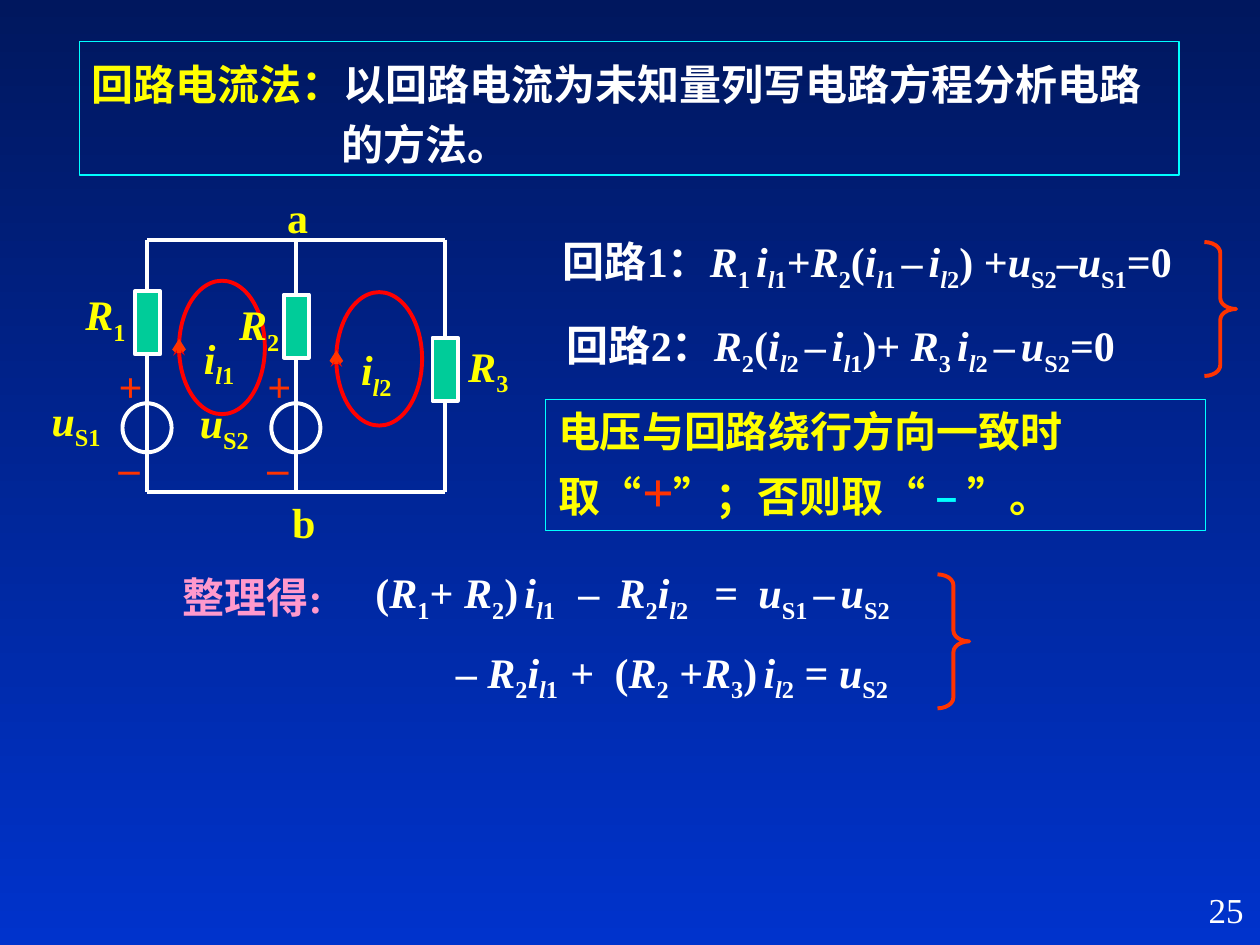
from dataclasses import dataclass
from itertools import groupby

from lxml import etree
from pptx import Presentation
from pptx import util as u
from pptx.dml.color import RGBColor
from pptx.enum import lang, shapes, text
from pptx.oxml import ns


@dataclass(frozen=True)
class Theme:
    font: str = "Times New Roman"
    top: str = "00175E"
    bottom: str = "0033CC"
    white: str = "FFFFFF"
    yellow: str = "FFFF00"
    pink: str = "FF99CC"
    cyan: str = "00FFFF"
    red: str = "FF0000"
    orange: str = "FF3300"
    resistor: str = "00CC99"
    body: int = 24
    sign: int = 32
    page: int = 20
    frame: float = 0.75
    stroke: float = 2.25


THEME = Theme()
SHAPE = shapes.MSO_SHAPE
LINE_HEIGHT, FORMULA_HEIGHT = 1.27, 1.42


def color(value):
    return RGBColor.from_string(value)


def split_markup(markup):
    """Yield (text, subscript, italic); braces hold subscripts, R i u l are italic."""
    marked, subscript = [], False
    for character in markup:
        if character in "{}":
            subscript = character == "{"
        else:
            marked.append((character, subscript, character in "Riul"))
    for (subscript, italic), group in groupby(marked, key=lambda item: item[1:]):
        yield "".join(item[0] for item in group), subscript, italic


def write(shape, spans, size=THEME.body, bold=True, inset=0.25,
          align=text.PP_ALIGN.LEFT, tabs=()):
    """Fill a shape with spans of (markup, colour[, size])."""
    frame = shape.text_frame
    frame.word_wrap = True
    frame.vertical_anchor = text.MSO_ANCHOR.TOP
    frame.margin_left, frame.margin_right = u.Cm(inset), u.Cm(0.25)
    frame.margin_top = frame.margin_bottom = u.Cm(0.13)
    paragraph = frame.paragraphs[0]
    paragraph.alignment = align
    if tabs:
        tab_list = etree.SubElement(paragraph._p.get_or_add_pPr(), ns.qn("a:tabLst"))
        for position in tabs:
            etree.SubElement(tab_list, ns.qn("a:tab"), pos=str(u.Cm(position)), algn="l")
    for markup, ink, *own_size in spans:
        for part, subscript, italic in split_markup(markup):
            run = paragraph.add_run()
            run.text = part
            font = run.font
            font.name, font.bold, font.italic = THEME.font, bold, italic
            font.size = u.Pt(own_size[0] if own_size else size)
            font.color.rgb = color(ink)
            font.language_id = lang.MSO_LANGUAGE_ID.SIMPLIFIED_CHINESE
            if subscript:
                run._r.get_or_add_rPr().set("baseline", "-25000")
    return paragraph


def add_text(slide, box, markup, ink=THEME.yellow, **options):
    shape = slide.shapes.add_textbox(*map(u.Cm, box))
    write(shape, [(markup, ink)], **options)


def add_shape(slide, kind, box, line, width=THEME.stroke, fill=None):
    shape = slide.shapes.add_shape(kind, *map(u.Cm, box))
    shape.shadow.inherit = False
    if fill:
        shape.fill.solid()
        shape.fill.fore_color.rgb = color(fill)
    else:
        shape.fill.background()
    shape.line.color.rgb = color(line)
    shape.line.width = u.Pt(width)
    return shape


def add_line(slide, start, end, ink=THEME.white, arrow=None):
    line = slide.shapes.add_connector(shapes.MSO_CONNECTOR.STRAIGHT,
                                      *map(u.Cm, (*start, *end)))
    line.line.color.rgb = color(ink)
    line.line.width = u.Pt(THEME.stroke)
    if arrow:
        etree.SubElement(line.line._get_or_add_ln(), ns.qn("a:tailEnd"), type=arrow)
    etree.SubElement(line._element.spPr, ns.qn("a:effectLst"))


def add_brace(slide, left, top):
    brace = add_shape(slide, SHAPE.RIGHT_BRACE, (left, top, 0.64, 2.7), THEME.orange)
    brace.adjustments[0] = 0.34


def add_background(slide):
    fill = slide.background.fill
    fill.gradient()
    fill.gradient_angle = 270
    for stop, ink in zip(fill.gradient_stops, (THEME.top, THEME.bottom)):
        stop.color.rgb = color(ink)


def add_definition(slide):
    box = add_shape(slide, SHAPE.RECTANGLE, (1.6, 0.84, 22.17, 2.69),
                    THEME.cyan, THEME.frame)
    paragraph = write(box, [("回路电流法：", THEME.yellow),
                            ("以回路电流为未知量列写电路方程分析电路的方法。", THEME.white)])
    paragraph.line_spacing = 1.2
    properties = paragraph._p.get_or_add_pPr()
    properties.set("marL", str(u.Cm(5.03)))
    properties.set("indent", str(u.Cm(-5.03)))


def add_equations(slide):
    # Loop equations
    add_text(slide, (11.1, 4.62, 13.54, FORMULA_HEIGHT),
             "回路1：R{1 }i{l1}+R{2}(i{l1 }–{ }i{l2}) +u{S2}–u{S1}=0", THEME.white)
    add_text(slide, (11.18, 6.32, 12.6, FORMULA_HEIGHT),
             "回路2：R{2}(i{l2 }–{ }i{l1})+ R{3 }i{l2 }–{ }u{S2}=0", THEME.white)
    add_brace(slide, 24.28, 4.88)

    # Rearranged equations
    add_text(slide, (3.43, 11.4, 3.96, LINE_HEIGHT), "整理得:", THEME.pink)
    add_text(slide, (7.32, 11.3, 11.68, FORMULA_HEIGHT),
             "(R{1}+ R{2}){ }i{l1}\t–\tR{2}i{l2}\t=\tu{S1 }–{ }u{S2}", THEME.white,
             tabs=(4.09, 4.88, 6.83, 7.72))
    add_text(slide, (7.87, 12.9, 10.82, FORMULA_HEIGHT),
             "– R{2}i{l1}\t+\t(R{2} +R{3}){ }i{l2} = u{S2}", THEME.white,
             inset=1.32, tabs=(2.31, 3.2))
    add_brace(slide, 18.9, 11.58)


def add_sign_rule(slide):
    box = add_shape(slide, SHAPE.RECTANGLE, (11, 8.05, 13.31, 2.64),
                    THEME.cyan, THEME.frame)
    write(box, [("电压与回路绕行方向一致时取“", THEME.yellow),
                ("+", THEME.orange, THEME.sign),
                ("”；否则取“ ", THEME.yellow),
                ("–", THEME.cyan),
                (" ”。", THEME.yellow)])


def add_loop(slide, left, top, label):
    add_shape(slide, SHAPE.OVAL, (left, top, 1.73, 2.69), THEME.red)
    add_text(slide, (left + 0.25, top + 0.91, 1.24, FORMULA_HEIGHT), label)
    add_line(slide, (left, top + 1.42), (left, top + 1.27), THEME.red, "stealth")
    add_line(slide, (left, top + 1.45), (left, top + 1.17), THEME.orange, "arrow")


def add_circuit(slide):
    branches = (2.97, 5.97, 8.97)
    top, bottom = 4.83, 9.92

    # Loop currents
    add_loop(slide, 3.61, 5.66, "i{l1}")
    add_loop(slide, 6.78, 5.89, "i{l2}")

    # Wires
    for y in (top, bottom):
        add_line(slide, (branches[0], y), (branches[-1], y))
    for x in branches:
        add_line(slide, (x, top), (x, bottom))

    # Resistors and voltage sources
    for x, y in zip(branches, (5.87, 5.94, 6.81)):
        add_shape(slide, SHAPE.RECTANGLE, (x - 0.25, y, 0.51, 1.27),
                  THEME.white, fill=THEME.resistor)
    for x in branches[:2]:
        add_shape(slide, SHAPE.OVAL, (x - 0.5, 8.13, 0.99, 0.99), THEME.white)
        for y, sign in ((7.13, "+"), (8.78, "–")):
            add_text(slide, (x - 0.83, y, 0.97, LINE_HEIGHT), sign, THEME.orange)

    # Names of components and nodes
    for left, y, width, label in (
            (1.47, 5.69, 1.65, "R{1}"), (4.57, 5.89, 1.75, "R{2}"),
            (9.19, 6.73, 1.65, "R{3}"), (0.79, 7.82, 1.83, "u{S1}"),
            (3.78, 7.87, 2.24, "u{S2}")):
        add_text(slide, (left, y, width, FORMULA_HEIGHT), label)
    add_text(slide, (5.54, 3.73, 0.95, LINE_HEIGHT), "a")
    add_text(slide, (5.64, 9.88, 0.98, LINE_HEIGHT), "b")


def main():
    presentation = Presentation()
    presentation.slide_width, presentation.slide_height = u.Cm(25.4), u.Cm(19.05)
    slide = presentation.slides.add_slide(presentation.slide_layouts[6])
    add_background(slide)
    add_definition(slide)
    add_equations(slide)
    add_sign_rule(slide)
    add_circuit(slide)
    # Page number
    add_text(slide, (20.04, 17.78, 5.28, LINE_HEIGHT), "25", THEME.white,
             size=THEME.page, bold=False, align=text.PP_ALIGN.RIGHT)
    presentation.save("out.pptx")


if __name__ == "__main__":
    main()
